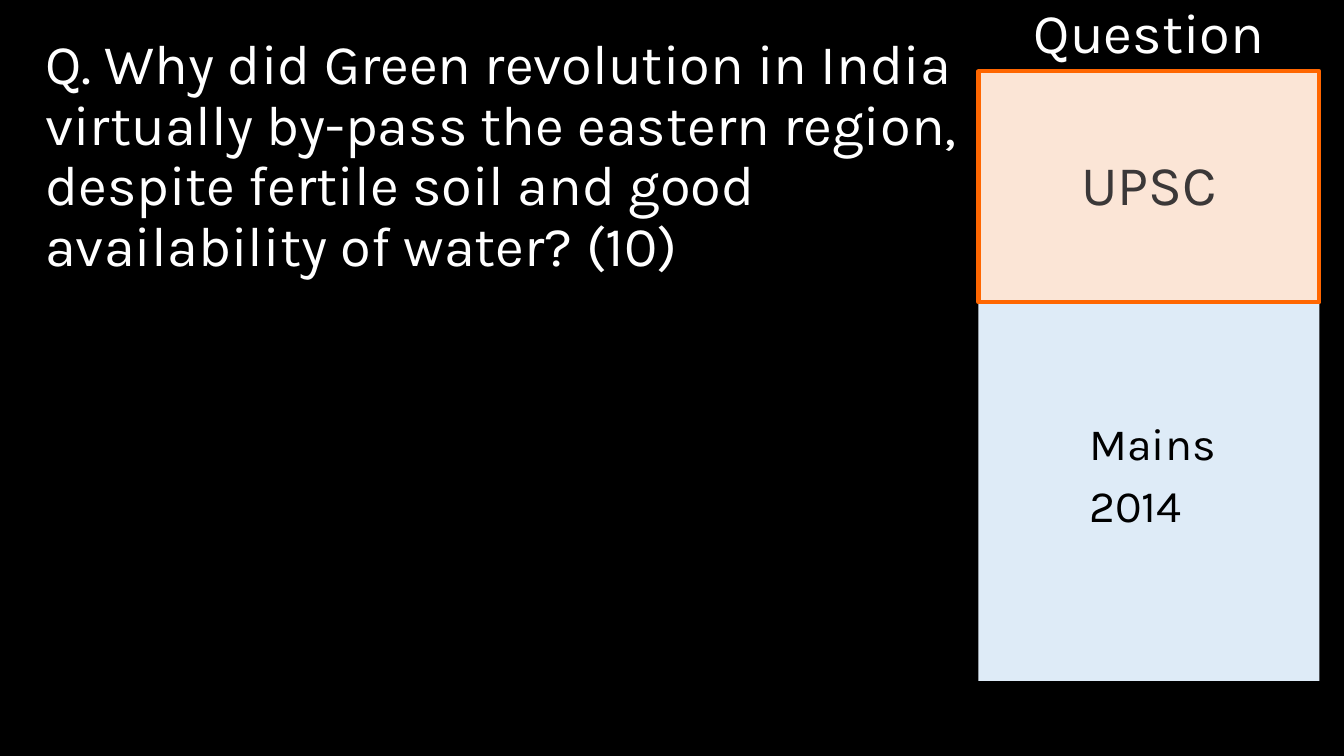
from dataclasses import dataclass

from pptx import Presentation
from pptx.dml import color
from pptx.enum import shapes, text
from pptx.util import Cm, Pt

FONT = "Karla"
SIDE_LEFT, SIDE_WIDTH = 24.66, 8.59


@dataclass
class Panel:
    wording: str
    left: float
    top: float
    width: float
    height: float
    size: int
    ink: str
    fill: str | None = None
    line: str | None = None
    centred: bool = True
    middle: bool = False
    inset_left: float = 0.25
    inset_top: float = 0.13


PANELS = [
    Panel("Mains\n2014", SIDE_LEFT, 4.78, SIDE_WIDTH, 12.38, 32, "000000",
          fill="DEEBF7", centred=False, inset_left=2.79, inset_top=5.85),
    Panel("Q. Why did Green revolution in India virtually by-pass the eastern region, "
          "despite fertile soil and good availability of water? (10)",
          0.89, 0.79, 23.6, 16.36, 40, "FFFFFF", centred=False),
    Panel("UPSC", SIDE_LEFT, 1.8, SIDE_WIDTH, 5.82, 40, "3B3838",
          fill="FBE5D6", line="FF6600", middle=True),
    Panel("Question", SIDE_LEFT, 0, SIDE_WIDTH, 1.8, 40, "FFFFFF"),
]


def rgb(value: str) -> color.RGBColor:
    return color.RGBColor.from_string(value)


def draw_panel(page, panel: Panel) -> None:
    place = [Cm(v) for v in (panel.left, panel.top, panel.width, panel.height)]
    if panel.fill:
        box = page.shapes.add_shape(shapes.MSO_SHAPE.RECTANGLE, *place)
        box.shadow.inherit = False
        box.fill.solid()
        box.fill.fore_color.rgb = rgb(panel.fill)
        if panel.line:
            box.line.color.rgb = rgb(panel.line)
            box.line.width = Pt(3)
        else:
            box.line.fill.background()
    else:
        box = page.shapes.add_textbox(*place)

    frame = box.text_frame
    frame.word_wrap = True
    frame.margin_left = Cm(panel.inset_left)
    frame.margin_top = Cm(panel.inset_top)
    frame.vertical_anchor = text.MSO_ANCHOR.MIDDLE if panel.middle else text.MSO_ANCHOR.TOP
    frame.text = panel.wording
    for index, para in enumerate(frame.paragraphs):
        para.alignment = text.PP_ALIGN.CENTER if panel.centred else text.PP_ALIGN.LEFT
        para.line_spacing = 0.9
        para.space_before = Pt(10 if index else 0)
        for span in para.runs:
            span.font.name = FONT
            span.font.size = Pt(panel.size)
            span.font.color.rgb = rgb(panel.ink)


def main() -> None:
    deck = Presentation()
    deck.slide_width, deck.slide_height = Cm(33.87), Cm(19.05)
    page = deck.slides.add_slide(deck.slide_layouts[6])
    page.background.fill.solid()
    page.background.fill.fore_color.rgb = rgb("000000")
    for panel in PANELS:
        draw_panel(page, panel)
    deck.save("out.pptx")


if __name__ == "__main__":
    main()
